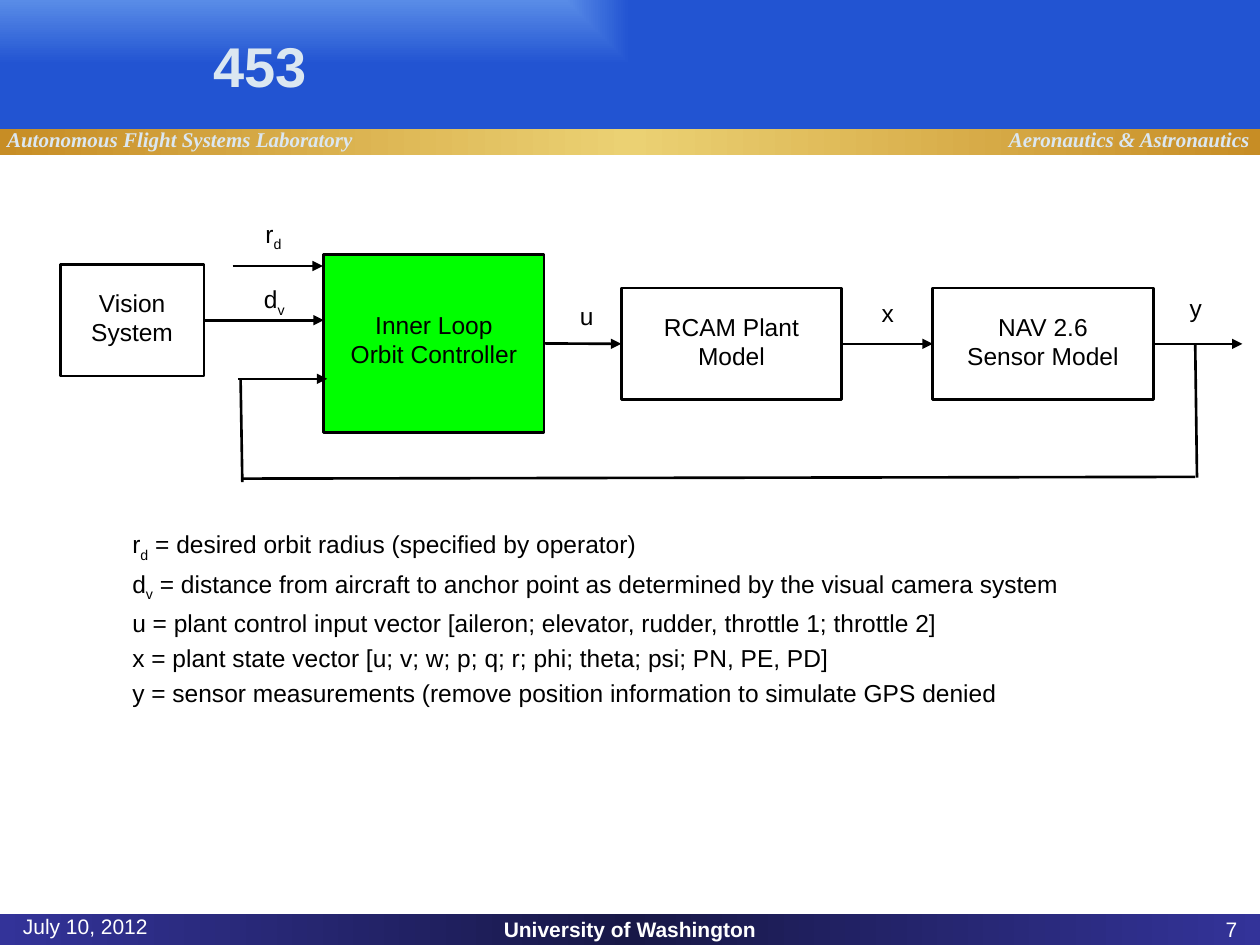
from lxml import etree
from pptx import Presentation
from pptx import util as u
from pptx.dml.color import RGBColor
from pptx.enum import shapes, text
from pptx.oxml import parse_xml
from pptx.oxml.ns import qn

# Content; all lengths in points
WIDE, HIGH = 720, 540
INK, PALE, WHITE = "000000", "DBE7F1", "FFFFFF"
LEFT, MID, RIGHT = (text.PP_ALIGN.LEFT, text.PP_ALIGN.CENTER,
                    text.PP_ALIGN.RIGHT)
TOP, CORE, BASE = (text.MSO_ANCHOR.TOP, text.MSO_ANCHOR.MIDDLE,
                   text.MSO_ANCHOR.BOTTOM)
GAP = 3.3

# Bands: top, height, gradient stops, direction
BANDS = [
    (522, 18, [(0, "333399"), (50, "181847"), (100, "333399")],
     '<a:lin ang="0" scaled="1"/>'),
    (0, 73.5, [(0, "598CE7"), (100, "2254D2")],
     '<a:path path="rect"><a:fillToRect r="100000" b="100000"/></a:path>'),
    (73.5, 15, [(0, "C78D25"), (50, "EBD173"), (100, "C78D25")],
     '<a:lin ang="0" scaled="1"/>'),
]

# Header and footer: words, box, align, anchor, font settings
SERIF = dict(size=12, face="Times New Roman", color=PALE, bold=True, slant=True)
FOOT = dict(size=12, color=WHITE)
HEADS = [
    ("Aeronautics & Astronautics", (569.5, 69, 172, 21.5), LEFT, TOP, SERIF),
    ("Autonomous Flight Systems Laboratory", (-3, 69, 269, 21.5), LEFT, TOP,
     SERIF),
    ("University of Washington", (192, 522, 336, 18), MID, CORE,
     dict(FOOT, bold=True)),
    ("7", (546, 522, 168, 18), RIGHT, CORE, FOOT),
    ("July 10, 2012", (6, 522, 168, 18), LEFT, BASE, FOOT),
    ("453", (115, 7, 605, 60), LEFT, CORE,
     dict(size=32, color=PALE, bold=True)),
]

# Blocks: name, words, box, label inset (x, y), fill
BLOCKS = [
    ("vision", "Vision System", (34.5, 151, 82, 64), (4, 10), None),
    ("control", "Inner Loop Orbit Controller", (185, 145.5, 126, 101.5),
     (7.5, 28), "00FF00"),
    ("plant", "RCAM Plant Model", (355, 164.5, 126, 64), (7.5, 10), None),
    ("sensor", "NAV 2.6 Sensor Model", (533, 164.5, 126, 64), (7.5, 10), None),
]

# Signals: runs as (words, is subscript), left and top of the label
SIGNALS = [
    ([("r", False), ("d", True)], 140.5, 121.5),
    ([("d", False), ("v", True)], 141, 159),
    ([("u", False)], 319.5, 168.5),
    ([("x", False)], 491.5, 166.5),
    ([("y", False)], 667.5, 164),
]

# Lines: start, end, arrowhead; a name stands for a block's side
LINES = [
    ((133, 152), (184.5, 152), True),
    ("vision", (185, 183), True),
    ("control", "plant", True),
    ("plant", "sensor", True),
    ("sensor", (710, 196.5), True),
    ((683, 196.5), (684, 273), False),
    ((683, 272.5), (138, 273.5), False),
    ((137.5, 217), (138.5, 275.5), False),
    ((136, 216.5), (187, 216.5), True),
]

KEY = [
    [("r", False), ("d", True),
     (" = desired orbit radius (specified by operator)", False)],
    [("d", False), ("v", True),
     (" = distance from aircraft to anchor point as determined by the visual "
      "camera system", False)],
    [("u = plant control input vector [aileron; elevator, rudder, throttle 1; "
      "throttle 2]", False)],
    [("x = plant state vector [u; v; w; p; q; r; phi; theta; psi; PN, PE, PD]",
      False)],
    [("y = sensor measurements (remove position information to simulate GPS "
      "denied", False)],
]

deck = Presentation()
deck.slide_width, deck.slide_height = u.Pt(WIDE), u.Pt(HIGH)
slide = deck.slides.add_slide(deck.slide_layouts[6])


def hue(code):
    return RGBColor.from_string(code)


def rect(box, fill=None, line=None):
    item = slide.shapes.add_shape(shapes.MSO_SHAPE.RECTANGLE, *map(u.Pt, box))
    item.shadow.inherit = False
    if fill:
        item.fill.solid()
        item.fill.fore_color.rgb = hue(fill)
    else:
        item.fill.background()
    if line:
        item.line.color.rgb = hue(line)
        item.line.width = u.Pt(1.5)
    else:
        item.line.fill.background()
    return item


def band(top, high, stops, way):
    item = rect((0, top, WIDE, high))
    marks = "".join(f'<a:gs pos="{pos * 1000}"><a:srgbClr val="{code}"/></a:gs>'
                    for pos, code in stops)
    grad = parse_xml(
        '<a:gradFill xmlns:a="http://schemas.openxmlformats.org/drawingml/2006/'
        f'main" rotWithShape="1"><a:gsLst>{marks}</a:gsLst>{way}</a:gradFill>')
    blank = item._element.spPr.find(qn("a:noFill"))
    blank.getparent().replace(blank, grad)


def write(paras, box, align=MID, anchor=TOP, gap=GAP, size=14, face="Arial",
          color=INK, bold=False, slant=False):
    frame = slide.shapes.add_textbox(*map(u.Pt, box)).text_frame
    frame.word_wrap = True
    frame.vertical_anchor = anchor
    for num, runs in enumerate(paras):
        para = frame.add_paragraph() if num else frame.paragraphs[0]
        para.alignment = align
        para.space_before = u.Pt(gap)
        for words, sub in runs:
            run = para.add_run()
            run.text = words
            font = run.font
            font.size, font.name = u.Pt(size), face
            font.bold, font.italic = bold, slant
            font.color.rgb = hue(color)
            if sub:
                run._r.get_or_add_rPr().set("baseline", "-25000")


def link(start, end, arrow):
    first = (0, 0) if start in nodes else start
    last = (0, 0) if end in nodes else end
    wire = slide.shapes.add_connector(shapes.MSO_CONNECTOR.STRAIGHT,
                                      *map(u.Pt, (*first, *last)))
    if start in nodes:
        wire.begin_connect(nodes[start], 3)
    if end in nodes:
        wire.end_connect(nodes[end], 1)
    wire.line.color.rgb = hue(INK)
    wire.line.width = u.Pt(1.5)
    if arrow:
        etree.SubElement(wire.line._get_or_add_ln(), qn("a:tailEnd"),
                         type="triangle")
    etree.SubElement(wire._element.spPr, qn("a:effectLst"))


# Background bands, header and footer
for row in BANDS:
    band(*row)
for words, box, align, anchor, style in HEADS:
    write([[(words, False)]], box, align, anchor, gap=0, **style)

# Block diagram
nodes = {}
for name, words, box, (dx, dy), fill in BLOCKS:
    nodes[name] = rect(box, fill, INK)
    x, y, wide, _ = box
    write([[(words, False)]], (x + dx, y + dy, wide - 2 * dx, 55))
for row in LINES:
    link(*row)
for runs, x, y in SIGNALS:
    write([runs], (x, y, 31.5, 28))

# Key to the signals
write(KEY, (68.5, 299, 590, 129), LEFT)

deck.save("out.pptx")
